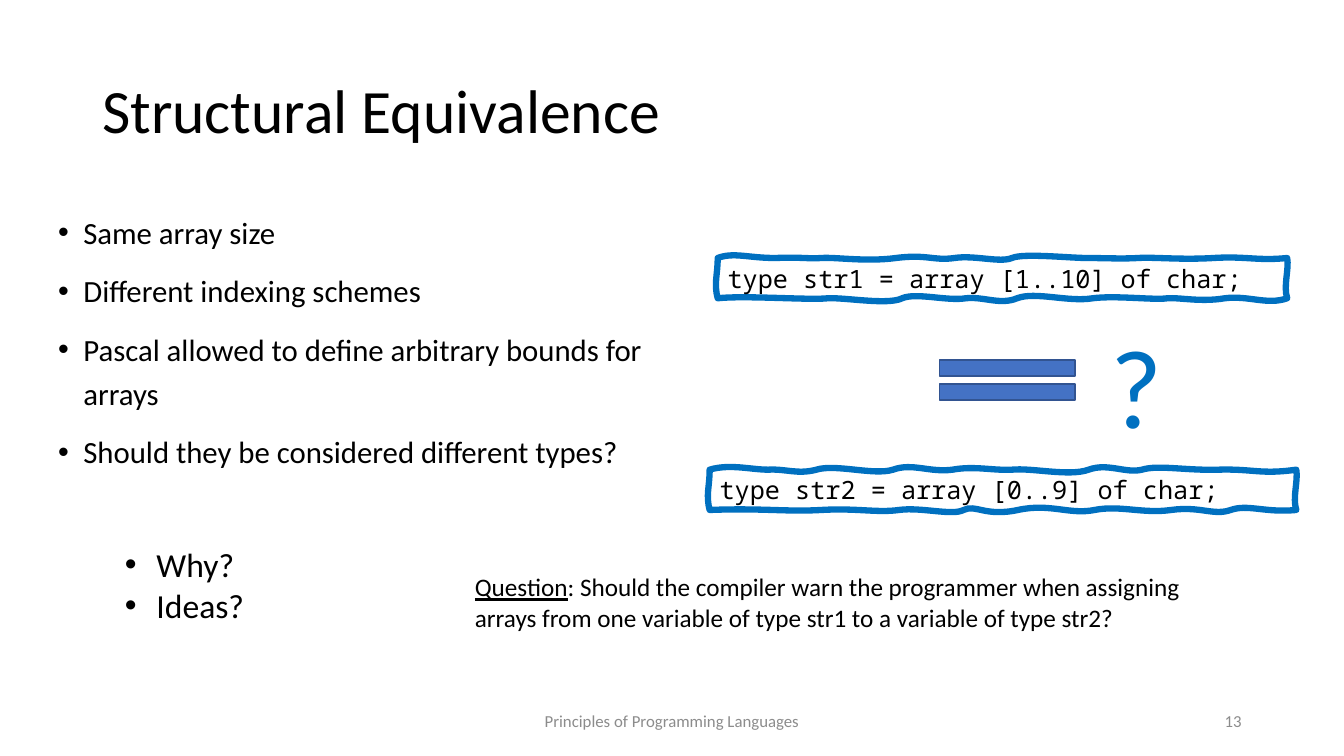
import dataclasses

import lxml.etree
import pptx
import pptx.dml.color
import pptx.enum.shapes
import pptx.enum.text
import pptx.oxml
import pptx.oxml.ns
import pptx.util

Pt = pptx.util.Pt
Align = pptx.enum.text.PP_ALIGN
Anchor = pptx.enum.text.MSO_ANCHOR
UNIT = 0.72


@dataclasses.dataclass(frozen=True)
class Theme:
    """Hold the colours, fonts and type sizes."""
    ink: str = "000000"
    blue: str = "0070C0"
    fill: str = "4472C4"
    edge: str = "325491"
    grey: str = "8C8C8C"
    font: str = "Calibri"
    mono: str = "Noto Sans Mono"
    title: int = 44
    body: int = 22
    list: int = 24
    text: int = 18
    foot: int = 12
    mark: int = 80


THEME = Theme()


def color(code):
    """Turn a hex code into a colour."""
    return pptx.dml.color.RGBColor.from_string(code)


def apply(item, form):
    """Set each attribute of an item from a dict."""
    for name, value in form.items():
        setattr(item, name, value)


def bullet(para, indent):
    """Give a paragraph a hanging bullet."""
    props = para._p.get_or_add_pPr()
    for name, value in {"marL": Pt(indent), "indent": -Pt(indent)}.items():
        props.set(name, str(int(value)))
    ns = pptx.oxml.ns.nsdecls("a")
    props.append(pptx.oxml.parse_xml(f'<a:buFont {ns} typeface="Arial"/>'))
    props.append(pptx.oxml.parse_xml(f'<a:buChar {ns} char="•"/>'))


def write(frame, lines, size, tint=THEME.ink, font=THEME.font,
          form=None, para=None, indent=0):
    """Fill a frame with lines, each a list of (text, format) runs."""
    apply(frame, {"word_wrap": True, **(form or {})})
    for i, line in enumerate(lines):
        part = frame.add_paragraph() if i else frame.paragraphs[0]
        apply(part, para or {})
        if indent:
            bullet(part, indent)
        for text, look in line:
            run = part.add_run()
            run.text = text
            apply(run.font, {"name": font, "size": Pt(size), **look})
            run.font.color.rgb = color(tint)


def label(slide, box, lines, size, **style):
    """Place a text box with plain lines or lists of runs."""
    frame = slide.shapes.add_textbox(*map(Pt, box)).text_frame
    rows = [[(line, {})] if isinstance(line, str) else line for line in lines]
    write(frame, rows, size, **style)


def bend(shape, curves):
    """Replace the straight sides of an outline with cubic curves."""
    tag = pptx.oxml.ns.qn
    route = next(shape._element.iter(tag("a:path")))
    for side in list(route.iter(tag("a:lnTo"))):
        route.remove(side)
    for i, points in enumerate(curves):
        arc = lxml.etree.Element(tag("a:cubicBezTo"))
        for x, y in points:
            spot = {"x": str(int(Pt(x * UNIT))), "y": str(int(Pt(y * UNIT)))}
            lxml.etree.SubElement(arc, tag("a:pt"), spot)
        route.insert(i + 1, arc)


def code(slide, box, text, top, base):
    """Draw a code line in a hand-drawn frame with wavy edges."""
    x, y, w, h = box
    pen = slide.shapes.build_freeform(Pt(x), Pt(y), scale=1.0)
    ends = [(x + w, y), (x + w, y + h), (x, y + h)]
    pen.add_line_segments([(Pt(a), Pt(b)) for a, b in ends], close=True)
    shape = pen.convert_to_shape()
    wide, high = w / UNIT, h / UNIT
    waves = [[((a, rise + b), (c, rise + d), (end, rise))
              for a, b, c, d, end in edge]
             for edge, rise in ((top, 0), (base, high))]
    right = ((wide + 2, 11), (wide - 4, 28), (wide, high))
    left = ((-4, 25), (0, 17), (0, 0))
    bend(shape, [*waves[0], right, *waves[1], left])
    shape.shadow.inherit = False
    shape.fill.background()
    shape.line.color.rgb = color(THEME.blue)
    shape.line.width = Pt(4.5)
    write(shape.text_frame, [[(text, {})]], THEME.text, font=THEME.mono,
          form={"vertical_anchor": Anchor.MIDDLE},
          para={"alignment": Align.LEFT})


def equal(slide, box):
    """Draw the equals sign and the question mark beside it."""
    x, y, w, h = box
    kind = pptx.enum.shapes.MSO_SHAPE.MATH_EQUAL
    sign = slide.shapes.add_shape(kind, Pt(x), Pt(y), Pt(w), Pt(h))
    sign.shadow.inherit = False
    sign.fill.solid()
    sign.fill.fore_color.rgb = color(THEME.fill)
    sign.line.color.rgb = color(THEME.edge)
    sign.line.width = Pt(1)
    label(slide, (x + w + 0.72, y - 24.48, 51.84, 104.4), ["?"], THEME.mark,
          tint=THEME.blue, form={"word_wrap": False})


def header(slide, box):
    """Place the title."""
    label(slide, box, ["Structural Equivalence"], THEME.title,
          form={"vertical_anchor": Anchor.MIDDLE}, para={"line_spacing": 0.9})


def body(slide, box):
    """Place the main bullet list."""
    label(slide, box, [
        "Same array size",
        "Different indexing schemes",
        "Pascal allowed to define arbitrary bounds for arrays",
        "Should they be considered different types?",
    ], THEME.body, para={"line_spacing": 1.2, "space_before": Pt(10)}, indent=18)


def types(slide, box):
    """Place the two type lines and the sign between them."""
    x, y, w, h = box
    code(slide, (x + 5.76, y, w - 12.24, 28.8),
         "type str1 = array [1..10] of char;",
         [(16, -6, 30, 0, 57), (85, -1, 90, 1, 103), (117, -1, 147, 4, 177),
          (208, -4, 214, 3, 235), (255, -3, 280, 5, 292),
          (303, -5, 349, 0, 366), (383, 0, 401, 1, 417),
          (434, -1, 459, 2, 492), (524, -2, 536, 3, 565)],
         [(545, 7, 527, -3, 503), (479, 4, 458, -1, 446),
          (434, 2, 395, -3, 372), (348, 4, 315, -7, 297),
          (280, 7, 264, -2, 246), (228, 3, 197, -6, 183),
          (169, 7, 126, -1, 109), (92, 2, 27, -3, 0)])
    equal(slide, (x + 146.88, y + 62.64, 131.76, 48.96))
    code(slide, (x, y + h - 28.8, w, 28.8),
         "type str2 = array [0..9] of char;",
         [(20, -6, 41, 0, 58), (76, -1, 87, 5, 106), (125, -6, 163, 6, 182),
          (201, -7, 218, 3, 241), (263, -4, 280, 1, 300),
          (320, -2, 357, 7, 376), (395, -7, 413, 4, 429),
          (445, -5, 472, 1, 505), (539, -1, 547, 5, 582)],
         [(551, 3, 534, -6, 517), (500, 6, 487, -4, 458),
          (430, 4, 407, -5, 382), (357, 5, 338, -7, 306),
          (273, 7, 264, -6, 252), (241, 6, 210, -3, 188),
          (166, 3, 147, -2, 111), (76, 2, 53, -2, 0)])


def asks(slide, box):
    """Place the short prompts and the closing question."""
    x, y, w, h = box
    label(slide, (x, y, 100.8, h), ["Why?", "Ideas?"], THEME.list,
          form={"word_wrap": False}, indent=22.5)
    label(slide, (x + 249.84, y + 19.6, w - 249.84, 51.12), [[
        ("Question", {"underline": True}),
        (": Should the compiler warn the programmer when assigning arrays "
         "from one variable of type str1 to a variable of type str2?", {}),
    ]], THEME.text)


def footer(slide, box):
    """Place the course name and the page number."""
    x, y, w, h = box
    for left, width, text, align in (
            (x, 324, "Principles of Programming Languages", Align.CENTER),
            (x + w - 216, 216, "13", Align.RIGHT)):
        label(slide, (left, y, width, h), [text], THEME.foot, tint=THEME.grey,
              form={"vertical_anchor": Anchor.MIDDLE},
              para={"alignment": align})


def main():
    """Build the slide and save it."""
    deck = pptx.Presentation()
    apply(deck, {"slide_width": Pt(960), "slide_height": Pt(540)})
    slide = deck.slides.add_slide(deck.slide_layouts[6])
    header(slide, (66, 28.75, 828, 104.4))
    body(slide, (34.5, 143.8, 446, 216))
    types(slide, (506.88, 184.32, 419.04, 180))
    asks(slide, (82.2, 385.2, 776.16, 65.5))
    footer(slide, (318, 500.5, 576, 28.75))
    deck.save("out.pptx")


if __name__ == "__main__":
    main()
